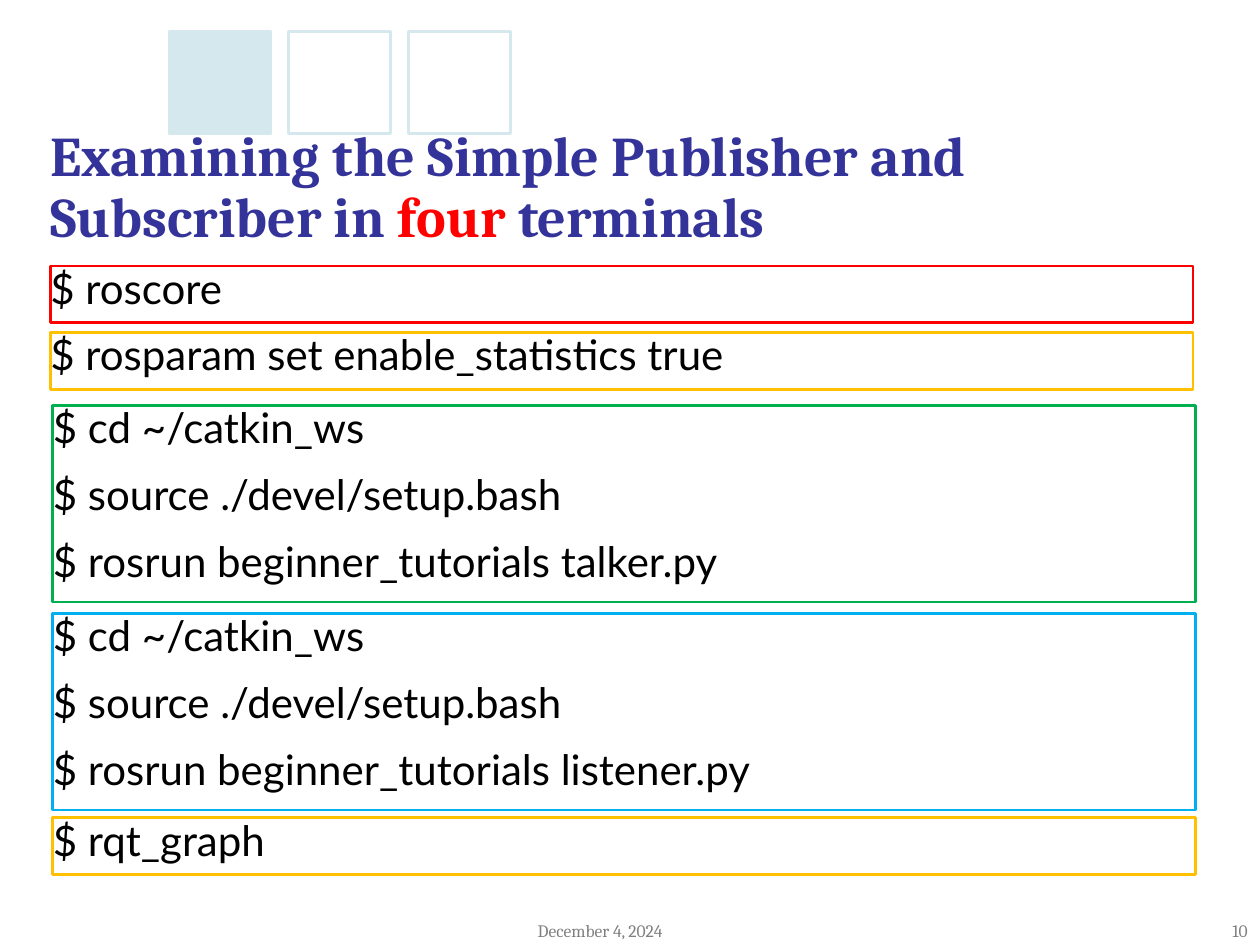
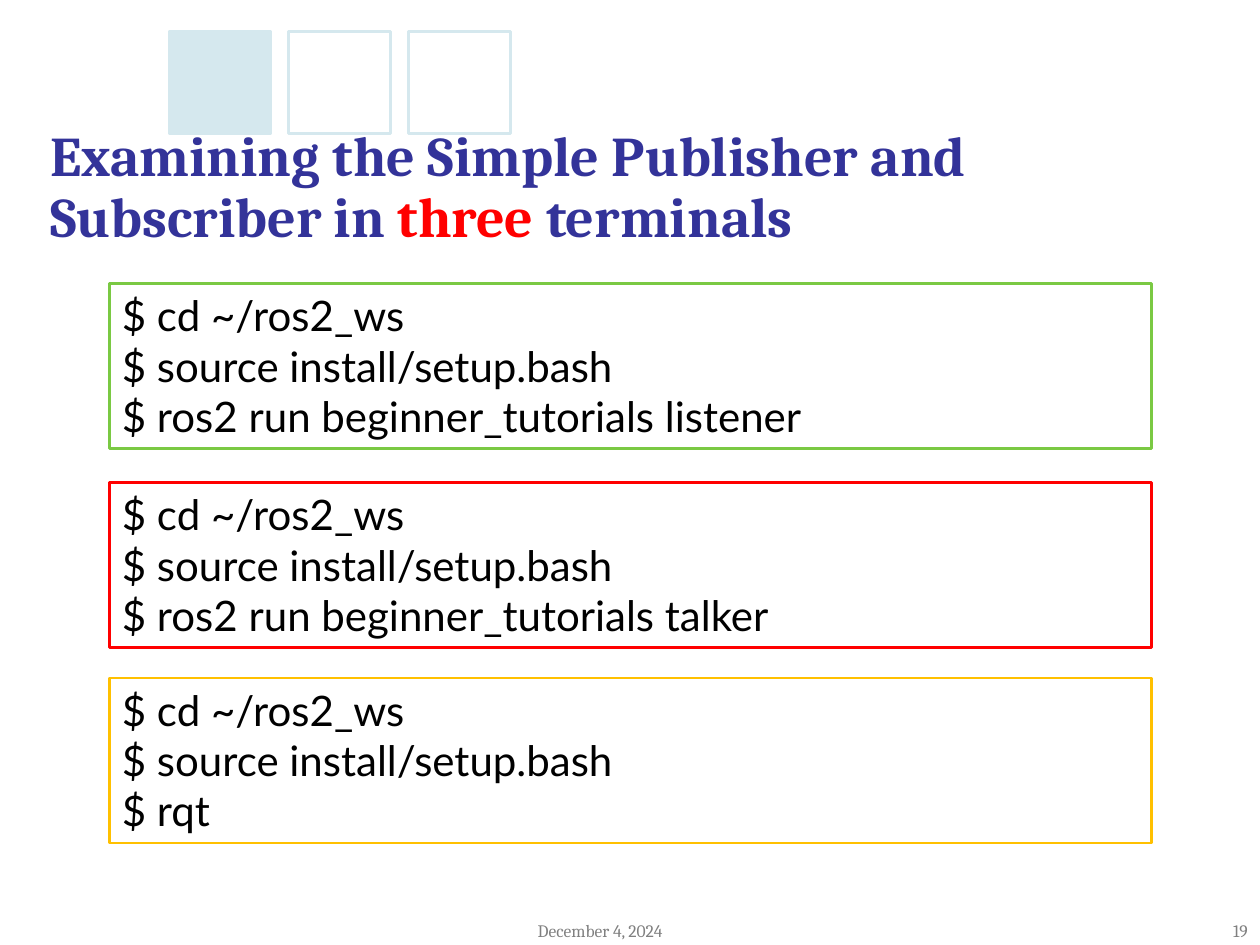
from pptx import Presentation
from pptx.dml.color import RGBColor
from pptx.enum import shapes, text
from pptx.util import Pt

BLACK, GREY, NAVY, RED = "000000", "808080", "333399", "FF0000"
AMBER, GREEN, BLUE, LIME, PALE = "FFC000", "00B050", "00B0F0", "7AC943", "D5E8EE"
TITLE_FONT, CODE_FONT = "Cambria", "Lato"
DATE = "December 4, 2024"

ROS1_SETUP = ["$ cd ~/catkin_ws", "$ source ./devel/setup.bash"]
ROS2_SETUP = ["$ cd ~/ros2_ws", "$ source install/setup.bash"]

# Each terminal: left, top, outline colour, commands
SLIDES = [
    dict(
        number=10, count="four", width=653, inset=(0, 0),
        line_spacing=0.95, gap=10.8, heights={1: 32.4, 3: 112.3},
        terminals=[
            (28.8, 151.9, RED, ["$ roscore"]),
            (28.8, 190.1, AMBER, ["$ rosparam set enable_statistics true"]),
            (30.2, 231.8, GREEN, ROS1_SETUP + ["$ rosrun beginner_tutorials talker.py"]),
            (30.2, 350.6, BLUE, ROS1_SETUP + ["$ rosrun beginner_tutorials listener.py"]),
            (30.2, 467.3, AMBER, ["$ rqt_graph"]),
        ],
    ),
    dict(
        number=19, count="three", width=595.5, inset=(7.2, 3.6),
        line_spacing=1.0, gap=0, heights={3: 94.3},
        terminals=[
            (62.6, 162, LIME, ROS2_SETUP + ["$ ros2 run beginner_tutorials listener"]),
            (62.6, 275.8, RED, ROS2_SETUP + ["$ ros2 run beginner_tutorials talker"]),
            (62.6, 387.4, AMBER, ROS2_SETUP + ["$ rqt"]),
        ],
    ),
]


def rgb(color):
    return RGBColor.from_string(color)


def style(font, name, size, color, bold=False):
    font.name, font.size, font.bold = name, Pt(size), bold
    font.color.rgb = rgb(color)


def set_frame(sp, inset, anchor=text.MSO_ANCHOR.TOP):
    tf = sp.text_frame
    tf.word_wrap = True
    tf.vertical_anchor = anchor
    tf.margin_left = tf.margin_right = Pt(inset[0])
    tf.margin_top = tf.margin_bottom = Pt(inset[1])
    return tf


def add_box(slide, left, top, width, height, line, fill=None):
    sp = slide.shapes.add_shape(shapes.MSO_SHAPE.RECTANGLE,
                                Pt(left), Pt(top), Pt(width), Pt(height))
    sp.shadow.inherit = False
    sp.line.color.rgb = rgb(line)
    sp.line.width = Pt(1.5)
    if fill:
        sp.fill.solid()
        sp.fill.fore_color.rgb = rgb(fill)
    else:
        sp.fill.background()
    return sp


def add_squares(slide):
    for i, fill in enumerate([PALE, None, None]):
        add_box(slide, 96.5 + 68.4 * i, 18, 58.3, 58.3, PALE, fill)


def add_title(slide, count):
    sp = slide.shapes.add_textbox(Pt(28.8), Pt(77), Pt(653), Pt(62))
    p = set_frame(sp, (0, 0), text.MSO_ANCHOR.MIDDLE).paragraphs[0]
    p.line_spacing = 0.9
    for words, color in [
        ("Examining the Simple Publisher and Subscriber in ", NAVY),
        (count, RED),
        (" terminals", NAVY),
    ]:
        r = p.add_run()
        r.text = words
        style(r.font, TITLE_FONT, 32, color, bold=True)


def add_footer(slide, number):
    for left, width, words, align in [
        (300.2, 118.8, DATE, text.PP_ALIGN.LEFT),
        (683.3, 36.7, str(number), text.PP_ALIGN.RIGHT),
    ]:
        sp = slide.shapes.add_textbox(Pt(left), Pt(522), Pt(width), Pt(18))
        p = set_frame(sp, (7.2, 3.6)).paragraphs[0]
        p.text = words
        p.alignment = align
        style(p.font, TITLE_FONT, 10, GREY)


def add_terminal(slide, page, left, top, color, commands):
    height = page["heights"][len(commands)]
    sp = add_box(slide, left, top, page["width"], height, color)
    tf = set_frame(sp, page["inset"])
    for i, command in enumerate(commands):
        p = tf.add_paragraph() if i else tf.paragraphs[0]
        p.text = command
        p.alignment = text.PP_ALIGN.LEFT
        p.line_spacing = page["line_spacing"]
        p.space_before = Pt(page["gap"] if i else 0)
        style(p.font, CODE_FONT, 24, BLACK)


def main():
    prs = Presentation()
    prs.slide_width, prs.slide_height = Pt(720), Pt(540)
    for page in SLIDES:
        slide = prs.slides.add_slide(prs.slide_layouts[6])
        add_squares(slide)
        add_title(slide, page["count"])
        add_footer(slide, page["number"])
        for terminal in page["terminals"]:
            add_terminal(slide, page, *terminal)
    prs.save("out.pptx")


if __name__ == "__main__":
    main()
